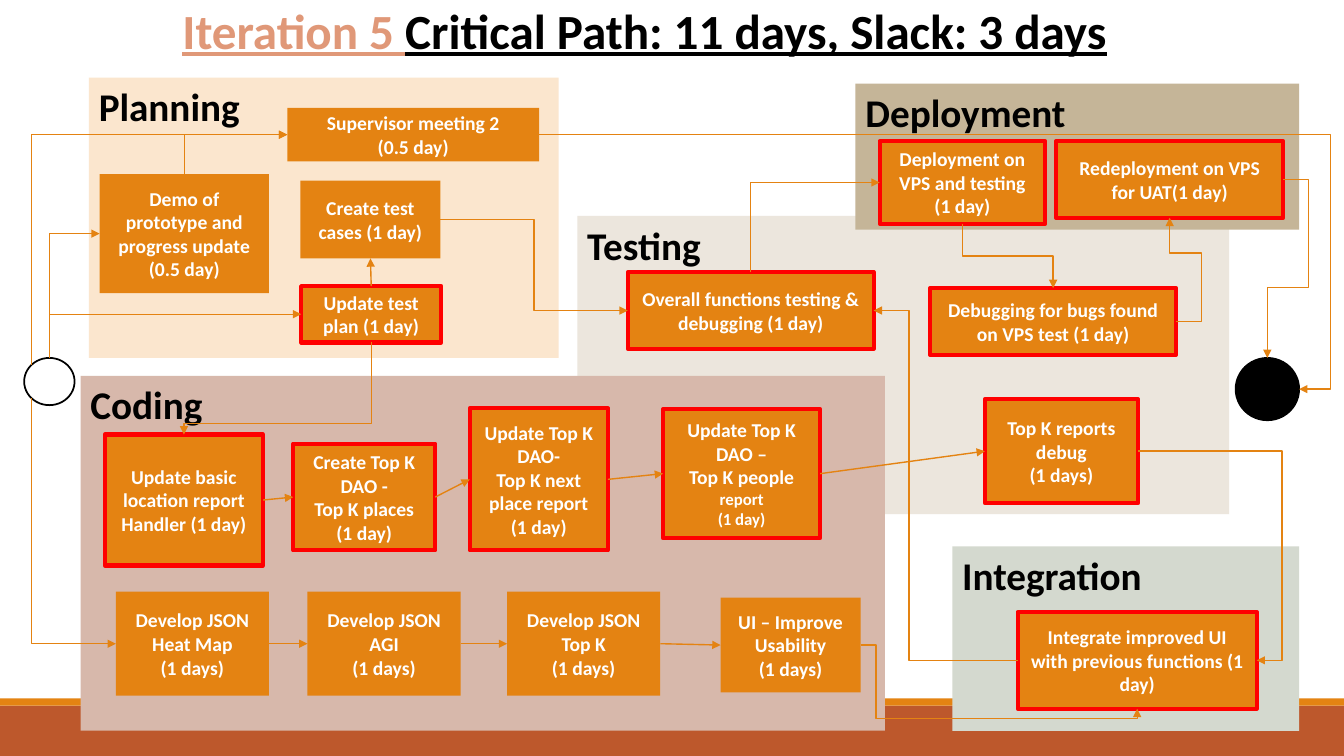
from dataclasses import dataclass
from typing import NamedTuple

from lxml import etree
from pptx import Presentation
from pptx import util as u
from pptx.dml.color import RGBColor
from pptx.enum import shapes, text
from pptx.oxml.ns import qn

COLOURS = {
    "orange": "E48312", "rust": "BD582C", "red": "FF0000", "salmon": "E09878",
    "black": "000000", "white": "FFFFFF", "testing": "ECE6DD", "coding": "D7B8AB",
    "planning": "FBE6CE", "integration": "D4D9CF", "deployment": "C5B598",
}
RECT, OVAL = shapes.MSO_SHAPE.RECTANGLE, shapes.MSO_SHAPE.OVAL


class Area(NamedTuple):
    left: float
    top: float
    width: float
    height: float


class Span(NamedTuple):
    text: str
    size: float = 14
    colour: str = "white"
    underline: bool = False


def lines(wording: str) -> list[list[Span]]:
    return [[Span(line)] for line in wording.split("\n")]


@dataclass
class Step:
    area: Area
    content: list[list[Span]]
    critical: bool = False


@dataclass
class Link:
    """Arrow between box sides; turns are the free bend positions, in order."""
    start: str
    start_side: str
    end: str
    end_side: str
    turns: tuple[float, ...] = ()


# Position on a box as fractions of its width and height
SIDES = {"left": (0, 0.5), "right": (1, 0.5), "top": (0.5, 0), "bottom": (0.5, 1),
         "top-left": (0.15, 0.15), "bottom-left": (0.15, 0.85)}

BARS = [("rust", Area(0, 17.78, 33.87, 1.27)), ("orange", Area(0, 17.6, 33.87, 0.18))]
PHASES = {
    "Testing": Area(14.55, 5.44, 16.43, 7.52),
    "Coding": Area(2.03, 9.47, 20.27, 8.94),
    "Planning": Area(2.24, 1.96, 11.84, 7.06),
    "Integration": Area(24, 13.77, 8.74, 4.65),
    "Deployment": Area(21.56, 2.11, 11.18, 3.68),
}
CIRCLES = {"start": ("white", Area(0.61, 9.02, 1.27, 1.19)),
           "finish": ("black", Area(31.14, 9.02, 1.6, 1.57))}
STEPS = {
    "overall": Step(Area(15.82, 6.86, 6.2, 1.93),
                    lines("Overall functions testing & debugging (1 day)"), True),
    "basic": Step(Area(2.64, 10.95, 3.99, 3.3),
                  lines("Update basic location report Handler (1 day)"), True),
    "integrate": Step(Area(25.65, 15.42, 6.02, 2.44),
                      lines("Integrate improved UI with previous functions (1 day)"), True),
    "deploy": Step(Area(22.17, 3.56, 4.17, 2.08),
                   lines("Deployment on VPS and testing (1 day)"), True),
    "supervisor": Step(Area(7.24, 2.72, 6.35, 1.35),
                       lines("Supervisor meeting 2\n(0.5 day)")),
    "debugging": Step(Area(23.44, 7.26, 6.2, 1.68),
                      lines("Debugging for bugs found on VPS test (1 day)"), True),
    "plan": Step(Area(7.59, 7.21, 3.53, 1.42), lines("Update test plan (1 day)"), True),
    "cases": Step(Area(7.57, 4.55, 3.53, 1.96), lines("Create test cases (1 day)")),
    "next place": Step(Area(11.84, 10.29, 3.48, 3.58),
                       lines("Update Top K DAO-\nTop K next place report\n(1 day)"), True),
    "people": Step(Area(16.71, 10.31, 3.96, 3.25),
                   [*lines("Update Top K DAO –"),
                    [Span("Top K people "), Span("report", 12)],
                    [Span("(1 day)", 12)]], True),
    "demo": Step(Area(2.51, 4.39, 4.27, 3),
                 lines("Demo of prototype and progress update (0.5 day)")),
    "usability": Step(Area(18.16, 15.06, 3.53, 2.39),
                      lines("UI – Improve Usability\n(1 days)")),
    "places": Step(Area(7.39, 11.18, 3.58, 2.69),
                   lines("Create Top K DAO -\nTop K places\n(1 day)"), True),
    "heat map": Step(Area(2.92, 14.91, 3.86, 2.62), lines("Develop JSON Heat Map\n(1 days)")),
    "agi": Step(Area(7.75, 14.91, 3.86, 2.62), lines("Develop JSON AGI\n(1 days)")),
    "top k": Step(Area(12.78, 14.91, 3.86, 2.62), lines("Develop JSON Top K\n(1 days)")),
    "reports": Step(Area(24.82, 10.06, 3.86, 2.62),
                    lines("Top K reports debug\n(1 days)"), True),
    "redeploy": Step(Area(26.62, 3.56, 5.72, 1.93),
                     lines("Redeployment on VPS for UAT(1 day)"), True),
}
CHAINS = [("basic", "places", "next place", "people", "reports"),
          ("heat map", "agi", "top k", "usability")]
LINKS = [Link(a, "right", b, "left") for chain in CHAINS for a, b in zip(chain, chain[1:])] + [
    Link("start", "bottom-left", "heat map", "left"),
    Link("start", "top", "plan", "left"),
    Link("start", "top-left", "supervisor", "left"),
    Link("start", "top", "demo", "left"),
    Link("demo", "top", "supervisor", "left"),
    Link("plan", "top", "cases", "bottom"),
    Link("plan", "bottom", "basic", "top", (10.67,)),
    Link("cases", "right", "overall", "left", (13.46,)),
    Link("overall", "top", "deploy", "left"),
    Link("deploy", "bottom", "debugging", "top", (6.45,)),
    Link("debugging", "right", "redeploy", "bottom", (30.28, 6.38)),
    Link("redeploy", "right", "finish", "top", (32.97, 7.24)),
    Link("supervisor", "right", "finish", "right", (33.53,)),
    Link("reports", "right", "integrate", "right", (32.31,)),
    Link("usability", "right", "integrate", "bottom", (22.07, 18.11)),
    Link("integrate", "left", "overall", "right", (22.91,)),
]


def rgb(colour: str) -> RGBColor:
    return RGBColor.from_string(COLOURS[colour])


def write(box, content: list[list[Span]], align, anchor) -> None:
    frame = box.text_frame
    for key, value in {"word_wrap": True, "vertical_anchor": anchor,
                       "auto_size": text.MSO_AUTO_SIZE.NONE}.items():
        setattr(frame, key, value)
    for index, spans in enumerate(content):
        para = frame.add_paragraph() if index else frame.paragraphs[0]
        para.alignment = align
        for span in spans:
            run = para.add_run()
            run.text = span.text
            for key, value in {"name": "Calibri", "bold": True, "size": u.Pt(span.size),
                               "underline": span.underline}.items():
                setattr(run.font, key, value)
            run.font.color.rgb = rgb(span.colour)


def add_box(page, kind, area: Area, fill: str, line: str = "", weight: float = 0):
    box = page.shapes.add_shape(kind, *map(u.Cm, area))
    box.shadow.inherit = False
    box.fill.solid()
    box.fill.fore_color.rgb = rgb(fill)
    if line:
        box.line.color.rgb = rgb(line)
        box.line.width = u.Pt(weight)
    else:
        box.line.fill.background()
    return box


def add_link(page, link: Link, areas: dict[str, Area]) -> None:
    ends = []
    for name, side in ((link.start, link.start_side), (link.end, link.end_side)):
        area, (across, down) = areas[name], SIDES[side]
        ends.append((area.left + across * area.width, area.top + down * area.height))
    begin, end = ends
    upright = link.start_side not in ("left", "right")
    parallel = upright == (link.end_side not in ("left", "right"))
    bent = bool(link.turns) or not parallel
    kind = shapes.MSO_CONNECTOR.ELBOW if bent else shapes.MSO_CONNECTOR.STRAIGHT
    arrow = page.shapes.add_connector(kind, *map(u.Cm, begin + end))
    arrow.line.color.rgb = rgb("orange")
    arrow.line.width = u.Pt(1)
    props = arrow._element.spPr
    etree.SubElement(arrow.line._get_or_add_ln(), qn("a:tailEnd"), type="triangle")
    etree.SubElement(props, qn("a:effectLst"))
    if not bent:
        return
    # Bends, as fractions of the distance along each axis
    shape = props.find(qn("a:prstGeom"))
    shape.set("prst", f"bentConnector{len(link.turns) + 2}")
    guides = shape.get_or_add_avLst()
    for index, turn in enumerate(link.turns):
        axis = (index + upright) % 2
        ratio = (turn - begin[axis]) / (end[axis] - begin[axis])
        etree.SubElement(guides, qn("a:gd"), name=f"adj{index + 1}",
                         fmla=f"val {round(ratio * 100000)}")
    # A route that leaves vertically is a horizontal one turned a quarter
    if upright:
        dx, dy = end[0] - begin[0], end[1] - begin[1]
        middle = (begin[0] + end[0]) / 2, (begin[1] + end[1]) / 2
        place = Area(middle[0] - abs(dy) / 2, middle[1] - abs(dx) / 2, abs(dy), abs(dx))
        for key, value in zip(Area._fields, place):
            setattr(arrow, key, u.Cm(value))
        frame = props.find(qn("a:xfrm"))
        for key, value in {"rot": 5400000, "flipH": int(dy < 0), "flipV": int(dx > 0)}.items():
            frame.set(key, str(value))


def main() -> None:
    deck = Presentation()
    deck.slide_width, deck.slide_height = u.Cm(33.87), u.Cm(19.05)
    page = deck.slides.add_slide(deck.slide_layouts[5])
    centre, middle = text.PP_ALIGN.CENTER, text.MSO_ANCHOR.MIDDLE
    left, top = text.PP_ALIGN.LEFT, text.MSO_ANCHOR.TOP

    # Title
    title = page.shapes.title
    for key, value in zip(Area._fields, Area(-1.19, -0.13, 34.87, 3.68)):
        setattr(title, key, u.Cm(value))
    write(title, [[Span("Iteration 5 ", 35.1, "salmon", True),
                   Span("Critical Path: 11 days, Slack: 3 days", 35.1, "black", True)]],
          centre, top)

    # Footer bars and phase panels
    for fill, area in BARS:
        add_box(page, RECT, area, fill)
    for phase, area in PHASES.items():
        panel = add_box(page, RECT, area, phase.lower())
        write(panel, [[Span(phase, 28, "black")]], left, top)

    # Start and finish circles, steps, arrows
    areas = {name: step.area for name, step in STEPS.items()}
    for name, (fill, area) in CIRCLES.items():
        add_box(page, OVAL, area, fill, "black", 1.25)
        areas[name] = area
    for step in STEPS.values():
        box = add_box(page, RECT, step.area, "orange", "red" if step.critical else "", 3)
        write(box, step.content, centre, middle)
    for link in LINKS:
        add_link(page, link, areas)
    deck.save("out.pptx")


if __name__ == "__main__":
    main()
